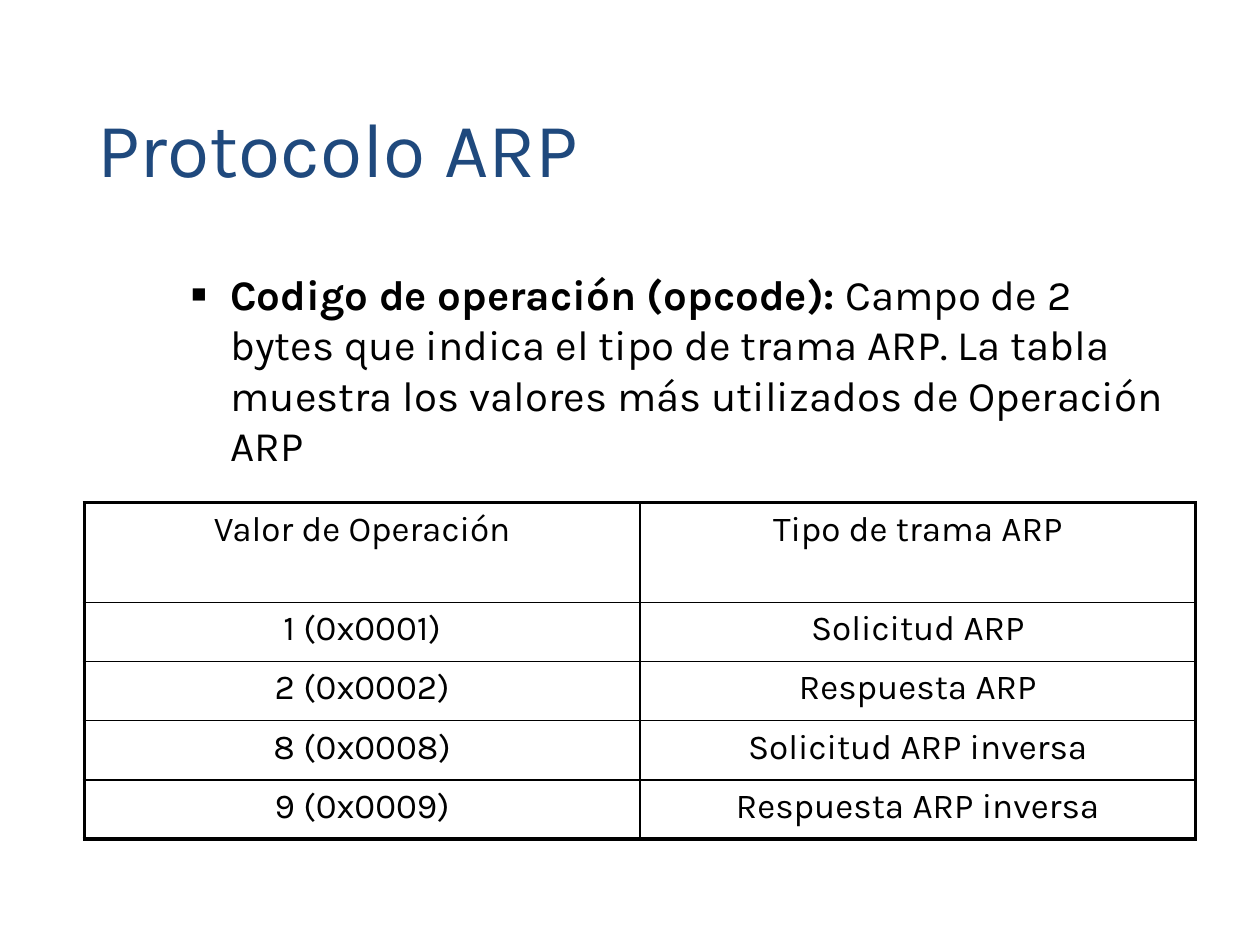
from dataclasses import dataclass
from lxml.etree import SubElement
from pptx import Presentation
from pptx.dml.color import RGBColor
from pptx.enum.text import MSO_ANCHOR, MSO_AUTO_SIZE, PP_ALIGN
from pptx.oxml.ns import qn
from pptx.util import Inches, Pt


@dataclass(frozen=True)
class Theme:
    font: str = "Karla"
    blue: str = "1F497D"
    black: str = "000000"
    head: int = 44
    body: int = 24
    cell: int = 20
    gap: float = 0.2
    thick: float = 2.25
    thin: float = 1


THEME = Theme()
ROWS = [
    ("Valor de Operación", "Tipo de trama ARP"),
    ("1 (0x0001)", "Solicitud ARP"),
    ("2 (0x0002)", "Respuesta ARP"),
    ("8 (0x0008)", "Solicitud ARP inversa"),
    ("9 (0x0009)", "Respuesta ARP inversa"),
]


def apply(item, values):
    for name, value in values.items():
        setattr(item, name, value)


def place(shape, *box):
    names = ("left", "top", "width", "height")
    apply(shape, dict(zip(names, map(Inches, box))))


def add_run(para, text, size, color=THEME.black, bold=False):
    run = para.add_run()
    run.text = text
    apply(run.font, {"name": THEME.font, "size": Pt(size), "bold": bold})
    run.font.color.rgb = RGBColor.from_string(color)


def add_title(slide, text):
    title = slide.shapes.title
    place(title, 0.67, 0.33, 8.5, 1.25)
    frame = title.text_frame
    apply(frame, {
        "word_wrap": True,
        "auto_size": MSO_AUTO_SIZE.NONE,
        "vertical_anchor": MSO_ANCHOR.BOTTOM,
    })
    para = frame.paragraphs[0]
    para.alignment = PP_ALIGN.LEFT
    add_run(para, text, THEME.head, THEME.blue)


def add_bullet(para):
    props = para._p.get_or_add_pPr()
    props.set("marL", str(Inches(0.81)))
    props.set("indent", str(Inches(-0.31)))
    tint = SubElement(props, qn("a:buClr"))
    SubElement(tint, qn("a:srgbClr"), val=THEME.black)
    SubElement(props, qn("a:buSzPct"), val="60000")
    SubElement(props, qn("a:buFont"), typeface="Arial")
    SubElement(props, qn("a:buChar"), char="■")


def add_body(slide, term, text):
    box = slide.shapes.add_textbox(0, 0, 0, 0)
    place(box, 0.92, 2.08, 8.57, 1.35)
    box.text_frame.word_wrap = True
    para = box.text_frame.paragraphs[0]
    add_bullet(para)
    apply(para, {"level": 1, "space_before": Pt(THEME.body * THEME.gap)})
    add_run(para, term, THEME.body, bold=True)
    add_run(para, text, THEME.body)


def add_border(cell, outer):
    props = cell._tc.get_or_add_tcPr()
    for side, edge in outer.items():
        width = Pt(THEME.thick if edge else THEME.thin)
        line = SubElement(props, qn("a:ln" + side), w=str(width))
        fill = SubElement(line, qn("a:solidFill"))
        SubElement(fill, qn("a:srgbClr"), val=THEME.black)


def add_grid(slide, rows):
    count, wide = len(rows), len(rows[0])
    frame = slide.shapes.add_table(
        count, wide, Inches(0.67), Inches(3.99), Inches(8.82), Inches(2.67))
    table = frame.table
    apply(table, {"first_row": False, "horz_banding": False})
    for r, texts in enumerate(rows):
        table.rows[r].height = Inches(0.47 if r else 0.79)
        for c, text in enumerate(texts):
            cell = table.cell(r, c)
            add_border(cell, {
                "L": c == 0, "R": c == wide - 1,
                "T": r == 0, "B": r == count - 1,
            })
            cell.fill.background()
            para = cell.text_frame.paragraphs[0]
            apply(para, {
                "alignment": PP_ALIGN.CENTER,
                "space_before": Pt(THEME.cell * THEME.gap),
            })
            add_run(para, text, THEME.cell)


def main():
    deck = Presentation()
    apply(deck, {"slide_width": Inches(10), "slide_height": Inches(7.5)})
    slide = deck.slides.add_slide(deck.slide_layouts[5])
    add_title(slide, "Protocolo ARP")
    add_body(
        slide,
        "Codigo de operación (opcode):",
        " Campo de 2 bytes que indica el tipo de trama ARP. La tabla "
        "muestra los valores más utilizados de Operación ARP",
    )
    add_grid(slide, ROWS)
    deck.save("out.pptx")


if __name__ == "__main__":
    main()
